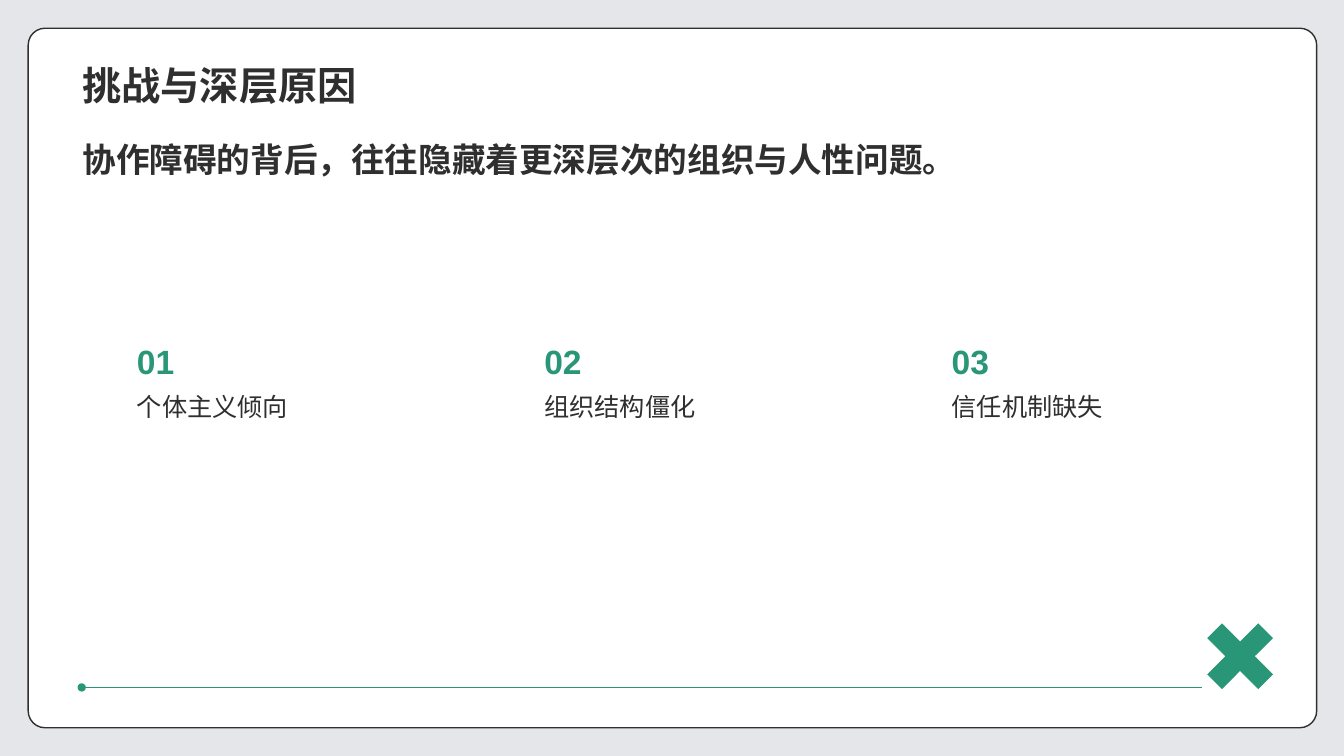
import pptx
import pptx.dml.color
import pptx.enum.shapes
import pptx.enum.text
import pptx.oxml.ns
import pptx.util
from lxml import etree

ANCHOR = pptx.enum.text.MSO_ANCHOR
SHAPE = pptx.enum.shapes.MSO_SHAPE
INK = "2F2F2F"
GREEN = "299777"
CHINESE = "Noto Sans CJK SC"


def colour(value):
    return pptx.dml.color.RGBColor.from_string(value)


def add_element(parent, tag, **attributes):
    return etree.SubElement(parent, pptx.oxml.ns.qn(tag), attributes)


class SlideBuilder:
    def __init__(self, deck, background):
        self.width = deck.slide_width
        self.height = deck.slide_height
        self.slide = deck.slides.add_slide(deck.slide_layouts[6])
        self.slide.background.fill.solid()
        self.slide.background.fill.fore_color.rgb = colour(background)

    def x(self, percent):
        return round(self.width * percent / 100)

    def y(self, percent):
        return round(self.height * percent / 100)

    def box(self, left, top, width, height):
        return self.x(left), self.y(top), self.x(width), self.y(height)

    def paint(self, shape, fill, line=None):
        shape.shadow.inherit = False
        shape.fill.solid()
        shape.fill.fore_color.rgb = colour(fill)
        if line:
            shape.line.color.rgb = colour(line)
            shape.line.width = pptx.util.Pt(1)
        else:
            shape.line.fill.background()

    def panel(self, *area):
        panel = self.slide.shapes.add_shape(SHAPE.ROUNDED_RECTANGLE, *self.box(*area))
        panel.adjustments[0] = 0.024
        self.paint(panel, "FFFFFF", INK)

    def text(self, words, area, size, anchor=ANCHOR.TOP, bold=False, ink=INK, face=CHINESE):
        frame = self.slide.shapes.add_textbox(*self.box(*area)).text_frame
        frame.word_wrap = True
        frame.vertical_anchor = anchor
        paragraph = frame.paragraphs[0]
        paragraph.text = words
        font = paragraph.font
        font.size = pptx.util.Pt(size)
        font.bold = bold
        font.color.rgb = colour(ink)
        font.name = face
        defaults = paragraph._p.pPr.find(pptx.oxml.ns.qn("a:defRPr"))
        add_element(defaults, "a:ea", typeface=face)

    def rule(self, start, end, level):
        rule = self.slide.shapes.add_connector(
            pptx.enum.shapes.MSO_CONNECTOR.STRAIGHT,
            self.x(start), self.y(level), self.x(end), self.y(level))
        rule.line.color.rgb = colour(GREEN)
        rule.line.width = pptx.util.Pt(1)
        add_element(rule.line._get_or_add_ln(), "a:headEnd", type="oval")
        add_element(rule._element.spPr, "a:effectLst")

    def cross(self, centre_x, centre_y, near, far, notch):
        arm = [(-near, -far), (0, -notch), (near, -far)]
        outline = []
        for _ in range(4):
            outline += arm
            arm = [(-down, across) for across, down in arm]
        points = [(self.x(centre_x) + self.y(across), self.y(centre_y) + self.y(down))
                  for across, down in outline]
        builder = self.slide.shapes.build_freeform(*points[0])
        builder.add_line_segments(points[1:], close=True)
        self.paint(builder.convert_to_shape(), GREEN)


def main():
    deck = pptx.Presentation()
    deck.slide_width = pptx.util.Inches(13.33)
    deck.slide_height = pptx.util.Inches(7.5)
    page = SlideBuilder(deck, "E4E6EA")

    page.panel(2.1, 3.73, 95.87, 92.53)
    page.text("协作障碍的背后，往往隐藏着更深层次的组织与人性问题。",
              (5.4, 16.53, 89.12, 8.93), 24, ANCHOR.MIDDLE, True)

    causes = ["个体主义倾向", "组织结构僵化", "信任机制缺失"]
    for index, cause in enumerate(causes):
        left = 9.45 + 30.31 * index
        page.text(cause, (left, 51.07, 20.41, 12.27), 18)
        page.text(f"{index + 1:02}", (left, 42.53, 20.41, 8.53), 24,
                  ANCHOR.BOTTOM, True, GREEN, "Arial")

    page.cross(92.27, 86.8, 2.4, 4.35, 1.95)
    page.rule(6.08, 89.42, 90.93)
    page.text("挑战与深层原因", (5.4, 1.87, 89.12, 13.07), 28, ANCHOR.BOTTOM, True)

    deck.save("out.pptx")


if __name__ == "__main__":
    main()
